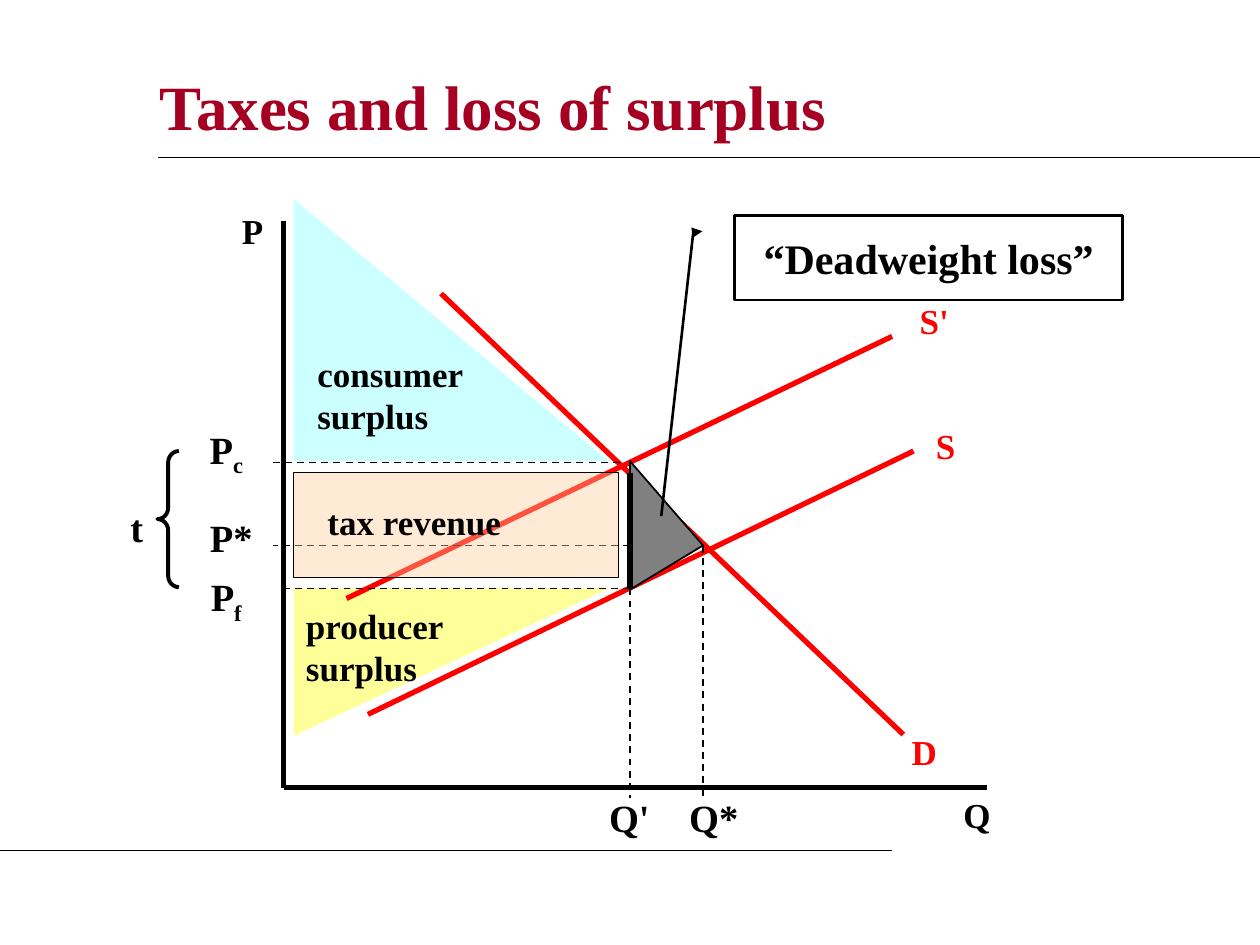
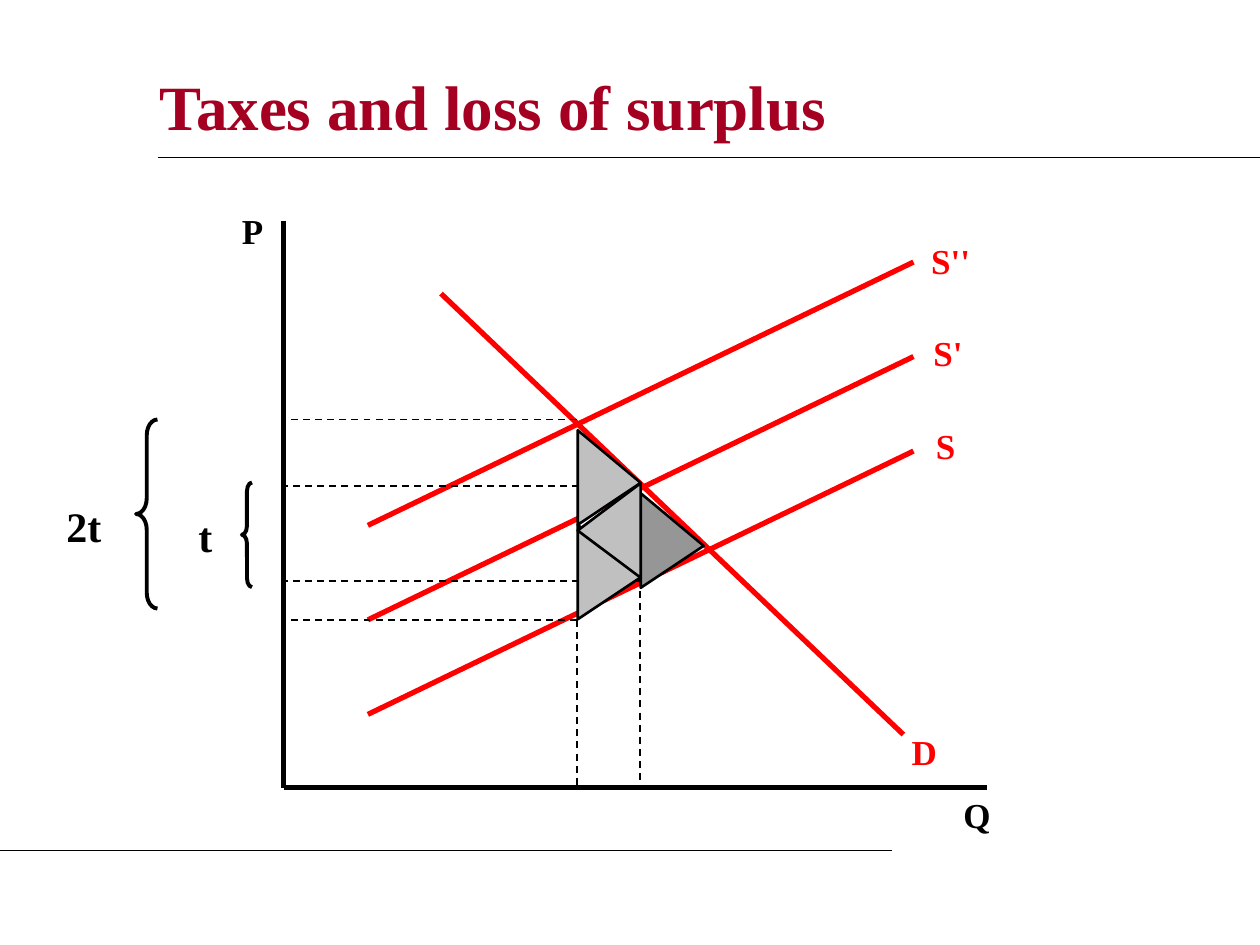
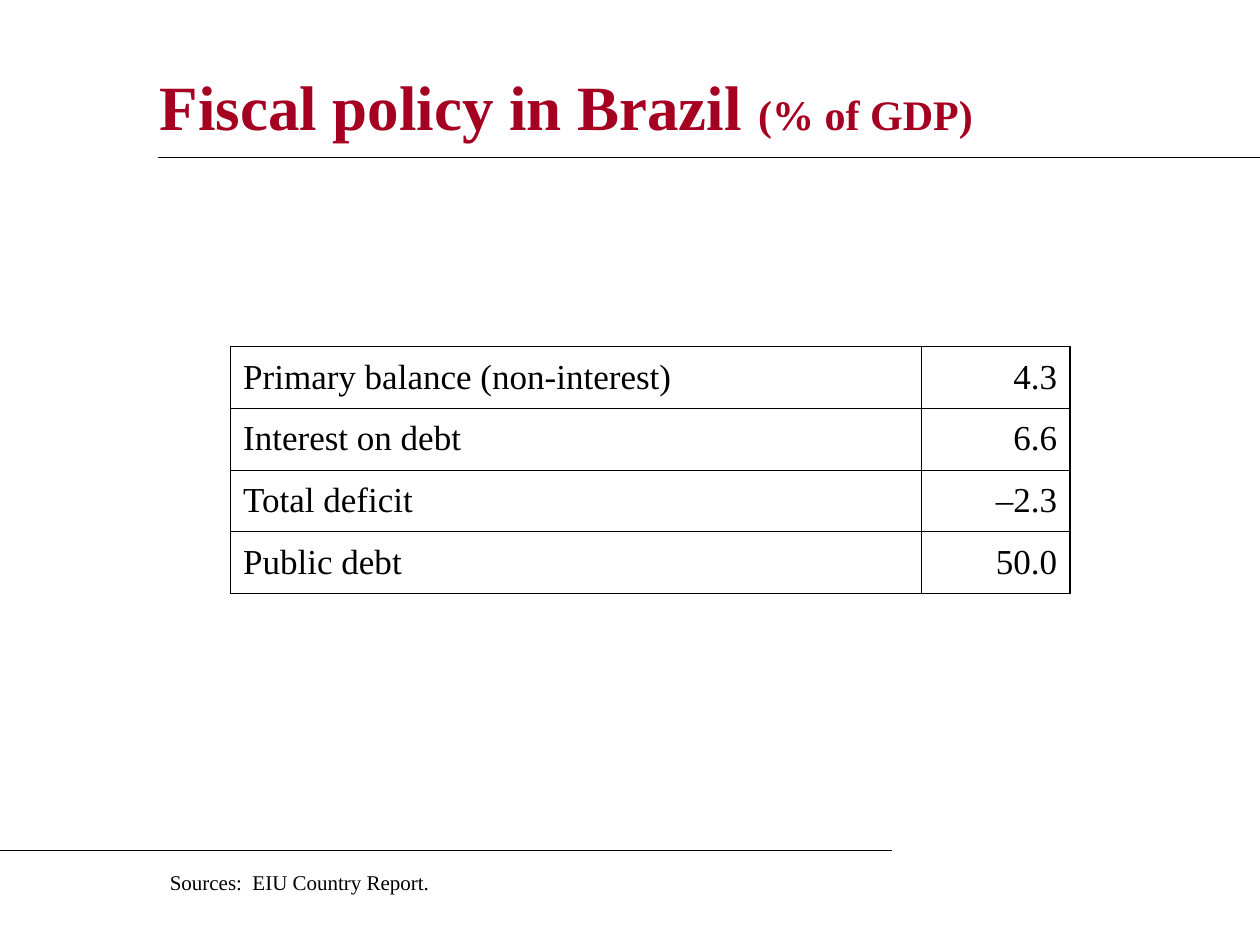
from lxml.etree import SubElement
from pptx import Presentation
from pptx.dml.color import RGBColor
from pptx.enum.dml import MSO_LINE
from pptx.enum.shapes import MSO_CONNECTOR, MSO_SHAPE as Preset
from pptx.enum.text import MSO_ANCHOR as Anchor, PP_ALIGN as Align
from pptx.oxml.ns import qn
from pptx.util import Inches, Pt

FONT = "Times New Roman"
BLACK = RGBColor(0x00, 0x00, 0x00)
CRIMSON = RGBColor(0xA5, 0x00, 0x21)
RED = RGBColor(0xFF, 0x00, 0x00)
CYAN = RGBColor(0xCC, 0xFF, 0xFF)
YELLOW = RGBColor(0xFF, 0xFF, 0x99)
PEACH = RGBColor(0xFF, 0xCC, 0x99)
DARK_GREY = RGBColor(0x80, 0x80, 0x80)
MID_GREY = RGBColor(0x96, 0x96, 0x96)
LIGHT_GREY = RGBColor(0xC0, 0xC0, 0xC0)

RULES = [((1.25, 1.25), (10, 1.25)), ((0, 6.75), (7.08, 6.75))]
AXES = [((2.25, 1.75), (2.25, 6.25)), ((7.83, 6.25), (2.25, 6.25))]
# Labels: text, left, top, width, size, alignment
AXIS_LABELS = [
    ("Q", 7.42, 6.25, 0.67, 20, Align.CENTER),
    ("P", 1.67, 1.61, 0.67, 20, Align.CENTER),
]
# Curves: name, start, end, label position
SHARED_CURVES = [
    ("S", (7.25, 3.58), (2.92, 5.67), (7.17, 3.32)),
    ("D", (3.5, 2.33), (7.17, 5.83), (7, 5.75)),
]

ONE_TAX = {
    "title": [("Taxes and loss of surplus", 36)],
    "curves": [("S'", (7.08, 2.67), (2.75, 4.75), (7.08, 2.33))],
    "guides": [
        ((5.58, 4.33), (2.17, 4.33)), ((5.58, 4.33), (5.58, 6.33)),
        ((4.92, 3.67), (2.17, 3.67)), ((5, 4.67), (2.25, 4.67)),
        ((5, 4.67), (5, 6.33)),
    ],
    # Losses: box, rotation, apex position, fill, line width
    "losses": [((4.78, 3.88, 1.02, 0.58), 90, 0.656, DARK_GREY, 1)],
    "braces": [(1.25, 3.58, 0.17, 1.08)],
    "labels": [
        ("P*", 1.42, 4.03, 0.83, 22, Align.CENTER),
        ("Q*", 5.25, 6.25, 0.83, 22, Align.CENTER),
        ("Q'", 4.58, 6.25, 0.83, 22, Align.CENTER),
        ("t", 0.67, 3.95, 0.83, 22, Align.CENTER),
        ("consumer\nsurplus", 2.42, 2.75, 1.67, 20, Align.LEFT),
        ("producer surplus", 2.33, 4.75, 1.42, 20, Align.LEFT),
        ("tax revenue", 2.5, 3.92, 2.08, 20, Align.LEFT),
    ],
}
PRICES_WITH_SUBSCRIPT = [("P", "c", 3.33), ("P", "f", 4.5)]
CONSUMER_SURPLUS = (2.33, 1.58, 2.5, 2.08)
PRODUCER_SURPLUS = (2.33, 4.67, 2.5, 1.17)
TAX_REVENUE = (2.33, 3.75, 2.58, 0.83)
CALLOUT_TEXT = "“Deadweight loss”"
CALLOUT_BOX = (5.83, 1.71, 3.08, 0.67)
CALLOUT_LEADER = [0.188, -0.083, 0.185, -0.106, 3.562, -0.189]

TWO_TAXES = {
    "title": ONE_TAX["title"],
    "curves": [
        ("S'", (7.25, 2.83), (2.92, 4.92), (7.19, 2.58)),
        ("S''", (7.25, 2.08), (2.92, 4.17), (7.21, 1.85)),
    ],
    "guides": [
        ((5.08, 4.61), (2.25, 4.61)), ((5.08, 3.86), (2.25, 3.86)),
        ((5.08, 3.92), (5.08, 6.25)), ((4.58, 4.92), (4.58, 6.25)),
        ((4.58, 3.33), (2.25, 3.33)), ((4.58, 4.92), (2.25, 4.92)),
    ],
    "losses": [
        ((4.96, 4.04, 0.75, 0.5), 90, 0.556, MID_GREY, 1.5),
        ((4.46, 4.29, 0.75, 0.5), 90, 0.556, LIGHT_GREY, 1.5),
        ((4.46, 3.54, 0.75, 0.5), 90, 0.556, LIGHT_GREY, 1.5),
        ((4.46, 3.96, 0.75, 0.5), 270, 0.5, LIGHT_GREY, 1.5),
    ],
    "braces": [(1.92, 3.83, 0.08, 0.83), (1.08, 3.33, 0.17, 1.5)],
    "labels": [
        ("t", 1.42, 4, 0.42, 24, Align.CENTER),
        ("2t", 0.33, 3.92, 0.67, 24, Align.CENTER),
    ],
}

FISCAL_TITLE = [("Fiscal policy in Brazil ", 36), ("(% of GDP)", 24)]
FISCAL_ROWS = [
    ("Primary balance (non-interest)", "4.3"),
    ("Interest on debt", "6.6"),
    ("Total deficit", "–2.3"),
    ("Public debt", "50.0"),
]
FISCAL_COLUMNS = [(5.48, Align.LEFT), (1.18, Align.RIGHT)]
ROW_HEIGHT = 0.49
SOURCE_NOTE = "Sources:  EIU Country Report."


def inches(values):
    return [Inches(value) for value in values]


def format_font(font, size, color=BLACK, bold=True):
    values = {"name": FONT, "size": Pt(size), "bold": bold}
    for name, value in values.items():
        setattr(font, name, value)
    font.color.rgb = color


def add_text(slide, box, runs, align=Align.LEFT, color=BLACK, bold=True):
    """Add a wrapped one-paragraph box; runs are (text, size) pairs."""
    frame = slide.shapes.add_textbox(*inches(box)).text_frame
    frame.word_wrap = True
    paragraph = frame.paragraphs[0]
    paragraph.alignment = align
    paragraph.text = runs[0][0]
    for run in paragraph.runs:
        format_font(run.font, runs[0][1], color, bold)
    for text, size in runs[1:]:
        run = paragraph.add_run()
        run.text = text
        format_font(run.font, size, color, bold)
    return frame


def add_label(slide, text, left, top, width, size, align, color=BLACK):
    height = (size * 1.2 * (text.count("\n") + 1)) / 72 + 0.1
    add_text(slide, (left, top, width, height), [(text, size)], align, color)


def add_line(slide, start, end, width, color=BLACK, dash=None):
    line = slide.shapes.add_connector(MSO_CONNECTOR.STRAIGHT, *inches(start + end))
    line.line.color.rgb = color
    line.line.width = Pt(width)
    if dash:
        line.line.dash_style = dash
    SubElement(line._element.spPr, qn("a:effectLst"))


def add_preset(slide, preset, box, fill=None, line_width=None):
    shape = slide.shapes.add_shape(preset, *inches(box))
    shape.shadow.inherit = False
    if fill is None:
        shape.fill.background()
    else:
        shape.fill.solid()
        shape.fill.fore_color.rgb = fill
    if line_width is None:
        shape.line.fill.background()
    else:
        shape.line.color.rgb = BLACK
        shape.line.width = Pt(line_width)
    return shape


def add_base(presentation, title, title_width=8.08):
    slide = presentation.slides.add_slide(presentation.slide_layouts[6])
    frame = add_text(slide, (1.17, 0.42, title_width, 0.83), title, color=CRIMSON)
    frame.vertical_anchor = Anchor.MIDDLE
    for start, end in RULES:
        add_line(slide, start, end, 0.75)
    return slide


def add_surplus_areas(slide):
    add_preset(slide, Preset.RIGHT_TRIANGLE, CONSUMER_SURPLUS, CYAN)
    producer = add_preset(slide, Preset.RIGHT_TRIANGLE, PRODUCER_SURPLUS, YELLOW)
    producer.rotation = 180
    producer._element.spPr.xfrm.set("flipH", "1")


def add_market(slide, market):
    """Draw axes, curves, guides, loss triangles, braces and labels."""
    for start, end in AXES:
        add_line(slide, start, end, 3)
    for name, start, end, (left, top) in SHARED_CURVES + market["curves"]:
        add_line(slide, start, end, 3, RED)
        add_label(slide, name, left, top, 0.67, 20, Align.CENTER, RED)
    for start, end in market["guides"]:
        add_line(slide, start, end, 1, dash=MSO_LINE.DASH)
    for box, rotation, apex, fill, width in market["losses"]:
        loss = add_preset(slide, Preset.ISOSCELES_TRIANGLE, box, fill, width)
        loss.rotation = rotation
        loss.adjustments[0] = apex
    for box in market["braces"]:
        brace = add_preset(slide, Preset.LEFT_BRACE, box, line_width=2.25)
        brace.adjustments[0] = box[3] / 12 / box[2]


def add_labels(slide, labels):
    for label in labels:
        add_label(slide, *label)


def add_tax_notes(slide):
    """Add the tax revenue area, the callout and the prices after tax."""
    add_line(slide, (5, 3.75), (5, 4.67), 3)
    revenue = add_preset(slide, Preset.RECTANGLE, TAX_REVENUE, PEACH, 0.25)
    color = revenue._element.spPr.find(qn("a:solidFill"))[0]
    SubElement(color, qn("a:alpha"), val="40000")

    callout = add_preset(slide, Preset.LINE_CALLOUT_2, CALLOUT_BOX, line_width=1.5)
    for index, value in enumerate(CALLOUT_LEADER):
        callout.adjustments[index] = value
    SubElement(callout.line._get_or_add_ln(), qn("a:headEnd"), type="triangle")
    frame = callout.text_frame
    frame.text = CALLOUT_TEXT
    frame.vertical_anchor = Anchor.MIDDLE
    frame.paragraphs[0].alignment = Align.CENTER
    format_font(frame.paragraphs[0].runs[0].font, 24)

    for price, subscript, top in PRICES_WITH_SUBSCRIPT:
        runs = [(price, 22), (subscript, 22)]
        frame = add_text(slide, (1.42, top, 0.75, 0.52), runs, Align.CENTER)
        frame.paragraphs[0].runs[1].font._element.set("baseline", "-25000")


def set_borders(cell, widths):
    properties = cell._tc.get_or_add_tcPr()
    for index, (side, width) in enumerate(widths.items()):
        line = properties.makeelement(qn(f"a:{side}"), {"w": str(Pt(width))})
        fill = SubElement(line, qn("a:solidFill"))
        SubElement(fill, qn("a:srgbClr"), val=str(BLACK))
        properties.insert(index, line)


def add_fiscal_table(slide):
    last_row, last_column = len(FISCAL_ROWS) - 1, len(FISCAL_COLUMNS) - 1
    box = (1.83, 2.75, 6.66, ROW_HEIGHT * len(FISCAL_ROWS))
    table = slide.shapes.add_table(last_row + 1, last_column + 1, *inches(box)).table
    table.first_row = table.horz_banding = False
    for column, (width, _) in zip(table.columns, FISCAL_COLUMNS):
        column.width = Inches(width)
    for i, values in enumerate(FISCAL_ROWS):
        table.rows[i].height = Inches(ROW_HEIGHT)
        for j, value in enumerate(values):
            cell = table.cell(i, j)
            cell.text = value
            cell.fill.background()
            cell.vertical_anchor = Anchor.MIDDLE
            paragraph = cell.text_frame.paragraphs[0]
            paragraph.alignment = FISCAL_COLUMNS[j][1]
            format_font(paragraph.runs[0].font, 20, bold=False)
            outer = {"lnL": j == 0, "lnR": j == last_column,
                     "lnT": i == 0, "lnB": i == last_row}
            set_borders(cell, {side: 1.08 if edge else 0.45
                               for side, edge in outer.items()})


def main():
    presentation = Presentation()
    presentation.slide_width, presentation.slide_height = inches((10, 7.5))

    slide = add_base(presentation, ONE_TAX["title"])
    add_surplus_areas(slide)
    add_market(slide, ONE_TAX)
    add_tax_notes(slide)
    add_labels(slide, AXIS_LABELS + ONE_TAX["labels"])

    slide = add_base(presentation, TWO_TAXES["title"])
    add_market(slide, TWO_TAXES)
    add_labels(slide, AXIS_LABELS + TWO_TAXES["labels"])

    slide = add_base(presentation, FISCAL_TITLE, 8.5)
    add_fiscal_table(slide)
    add_text(slide, (1.25, 6.85, 6.67, 0.3), [(SOURCE_NOTE, 12)], bold=False)

    presentation.save("out.pptx")


if __name__ == "__main__":
    main()
